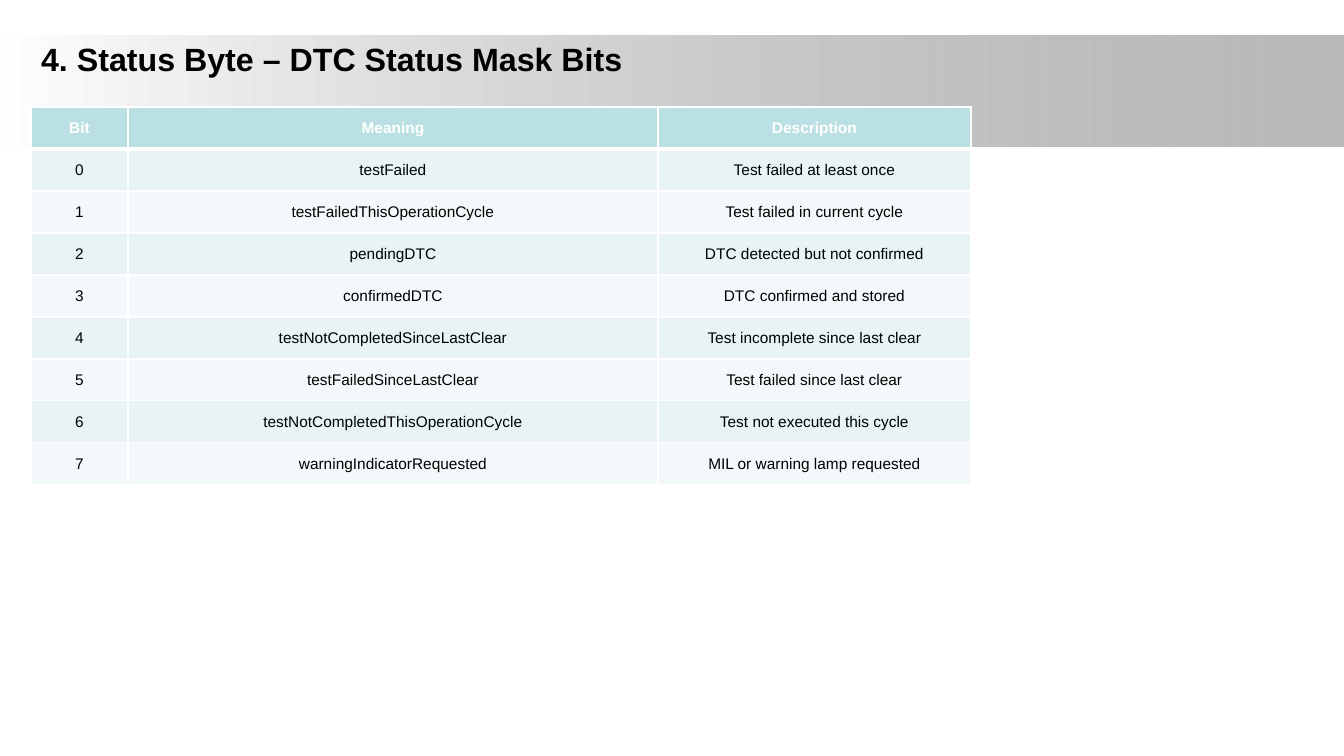
from dataclasses import dataclass

from lxml import etree
from pptx import Presentation
from pptx import util as u
from pptx.dml.color import RGBColor
from pptx.enum import shapes, text
from pptx.oxml.ns import qn

EMU_PER_PX = 914400 / 100.8
SLIDE_SIZE = (1344, 756)
BAND_BOX = (0, 36, 1344, 111)
TITLE_BOX = (31, 34, 889, 49)
TABLE_ORIGIN = (31, 107)
COLUMN_WIDTHS = (97, 530, 313)
ROW_HEIGHT = 42

TITLE = "4. Status Byte – DTC Status Mask Bits"
HEADINGS = ("Bit", "Meaning", "Description")
STATUS_BITS = (
    ("testFailed", "Test failed at least once"),
    ("testFailedThisOperationCycle", "Test failed in current cycle"),
    ("pendingDTC", "DTC detected but not confirmed"),
    ("confirmedDTC", "DTC confirmed and stored"),
    ("testNotCompletedSinceLastClear", "Test incomplete since last clear"),
    ("testFailedSinceLastClear", "Test failed since last clear"),
    ("testNotCompletedThisOperationCycle", "Test not executed this cycle"),
    ("warningIndicatorRequested", "MIL or warning lamp requested"),
)


@dataclass(frozen=True)
class Theme:
    font: str = "Arial"
    title_size: int = 23
    cell_size: int = 11
    ink: str = "000000"
    white: str = "FFFFFF"
    band_end: str = "808080"
    band_opacity: int = 54
    header: str = "BBE0E3"
    stripes: tuple = ("E7F3F4", "F3F9FA")
    rule: int = 1
    header_rule: int = 3


THEME = Theme()


def px(length):
    return u.Emu(round(length * EMU_PER_PX))


def set_all(target, values):
    for name, value in values.items():
        setattr(target, name, value)


def style_text(paragraph, size, color, bold, align):
    paragraph.alignment = align
    set_all(paragraph.font, {"name": THEME.font, "size": u.Pt(size), "bold": bold})
    paragraph.font.color.rgb = RGBColor.from_string(color)


def add_title(slide):
    title = slide.shapes.title
    set_all(title, dict(zip(("left", "top", "width", "height"), map(px, TITLE_BOX))))
    title.text_frame.text = TITLE
    set_all(title.text_frame, {
        "auto_size": text.MSO_AUTO_SIZE.NONE,
        "vertical_anchor": text.MSO_ANCHOR.MIDDLE,
        "word_wrap": True,
    })
    style_text(title.text_frame.paragraphs[0], THEME.title_size, THEME.ink,
               True, text.PP_ALIGN.LEFT)
    return title


def add_band(slide, title):
    band = slide.shapes.add_shape(shapes.MSO_SHAPE.RECTANGLE, *map(px, BAND_BOX))
    band.shadow.inherit = False
    band.line.fill.background()
    band.fill.gradient()
    band.fill.gradient_angle = 0
    for stop, color in zip(band.fill.gradient_stops, (THEME.white, THEME.band_end)):
        stop.color.rgb = RGBColor.from_string(color)
    # The dark end is partly transparent
    dark_end = list(band.element.spPr.iter(qn("a:srgbClr")))[-1]
    etree.SubElement(dark_end, qn("a:alpha"), val=str(THEME.band_opacity * 1000))
    # The band lies behind the title
    title.element.addprevious(band.element)


def add_borders(cell, widths):
    properties = cell._tc.get_or_add_tcPr()
    for index, (side, points) in enumerate(widths.items()):
        border = etree.Element(qn(f"a:ln{side}"), w=str(u.Pt(points)))
        fill = etree.SubElement(border, qn("a:solidFill"))
        etree.SubElement(fill, qn("a:srgbClr"), val=THEME.white)
        properties.insert(index, border)


def fill_cell(cell, content, row):
    is_header = row == 0
    cell.text = content
    set_all(cell, {
        "vertical_anchor": text.MSO_ANCHOR.MIDDLE,
        "margin_left": 0, "margin_right": 0, "margin_top": 0, "margin_bottom": 0,
    })
    style_text(cell.text_frame.paragraphs[0], THEME.cell_size,
               THEME.white if is_header else THEME.ink, is_header,
               text.PP_ALIGN.CENTER)
    cell.fill.solid()
    cell.fill.fore_color.rgb = RGBColor.from_string(
        THEME.header if is_header else THEME.stripes[(row - 1) % 2])
    add_borders(cell, {
        "L": THEME.rule,
        "R": THEME.rule,
        "T": THEME.header_rule if row == 1 else THEME.rule,
        "B": THEME.header_rule if is_header else THEME.rule,
    })


def add_status_table(slide):
    rows = [HEADINGS] + [(str(bit), *entry) for bit, entry in enumerate(STATUS_BITS)]
    size = (sum(COLUMN_WIDTHS), ROW_HEIGHT * len(rows))
    table = slide.shapes.add_table(
        len(rows), len(HEADINGS), *map(px, TABLE_ORIGIN + size)).table
    for column, width in zip(table.columns, COLUMN_WIDTHS):
        column.width = px(width)
    for row, entries in enumerate(rows):
        table.rows[row].height = px(ROW_HEIGHT)
        for column, content in enumerate(entries):
            fill_cell(table.cell(row, column), content, row)


def main():
    deck = Presentation()
    deck.slide_width, deck.slide_height = map(px, SLIDE_SIZE)
    slide = deck.slides.add_slide(deck.slide_layouts.get_by_name("Title Only"))

    # Heading on its gradient band
    title = add_title(slide)
    add_band(slide, title)

    # Status bits
    add_status_table(slide)
    deck.save("out.pptx")


if __name__ == "__main__":
    main()
